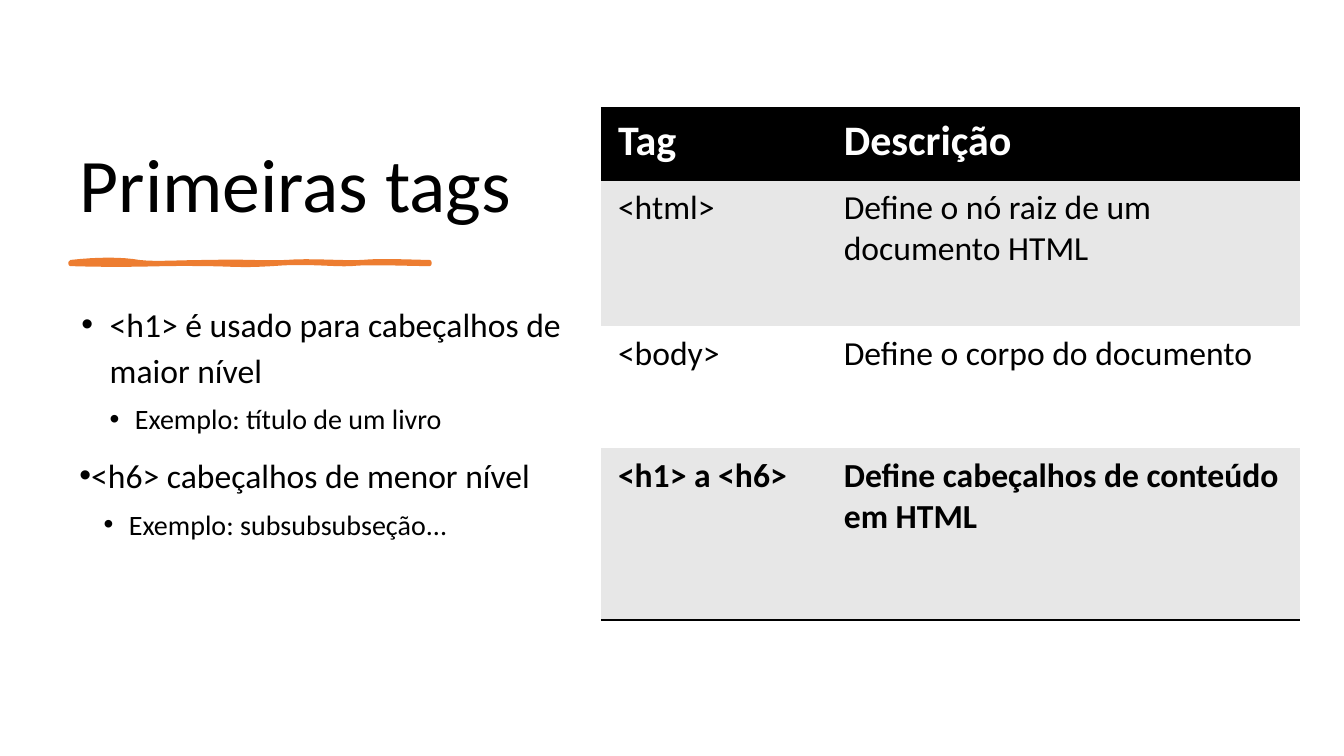
from lxml import etree
from pptx import Presentation
from pptx.dml.color import RGBColor
from pptx.enum.text import MSO_ANCHOR, MSO_AUTO_SIZE, PP_ALIGN
from pptx.oxml.ns import qn
from pptx.util import Emu, Pt

BOTTOM = MSO_ANCHOR.BOTTOM
FIXED = MSO_AUTO_SIZE.NONE
LEFT = PP_ALIGN.LEFT

PX = 9144
TITLE_ONLY = 5
FONT = "Calibri"
COLORS = {"ink": "000000", "paper": "FFFFFF", "band": "E7E7E7", "accent": "ED7D31"}

STROKE = [
    [(70, 260), (97, 257), (121, 257), (138, 260), (155, 262), (177, 260),
     (209, 260), (241, 259), (260, 261), (284, 260), (308, 258), (339, 261),
     (359, 260), (379, 258), (412, 260), (426, 260), (426, 260), (426, 261),
     (426, 262), (408, 262), (364, 260), (348, 262), (332, 263), (304, 259),
     (270, 262), (235, 264), (231, 262), (199, 262), (166, 261), (132, 264),
     (70, 262), (70, 261), (70, 260), (70, 260)],
]
ITEMS = [
    ("<h1> é usado para cabeçalhos de maior nível", 0, 30, -28),
    ("Exemplo: título de um livro", 1, 55, -25),
    ("<h6> cabeçalhos de menor nível", 0, 0, -25),
    ("Exemplo: subsubsubseção...", 1, 49, -25),
]
SIZES = (24, 20)
GAPS = (10, 5)
ROWS = [
    ("Tag", "Descrição"),
    ("<html>", "Define o nó raiz de um documento HTML"),
    ("<body>", "Define o corpo do documento"),
    ("<h1> a <h6>", "Define cabeçalhos de conteúdo em HTML"),
]


def px(n):
    return Emu(round(n * PX))


def rgb(name):
    return RGBColor.from_string(COLORS[name])


def curve(points, steps=8):
    out = [points[0]]
    for i in range(0, len(points) - 1, 3):
        a, b, c, d = points[i:i + 4]
        for k in range(1, steps + 1):
            t = k / steps
            u = 1 - t
            out.append(tuple(
                u**3 * p + 3 * u * u * t * q + 3 * u * t * t * r + t**3 * s
                for p, q, r, s in zip(a, b, c, d)))
    return [(px(x), px(y)) for x, y in out]


class Deck:
    def __init__(self, width, height):
        self.file = Presentation()
        self.file.slide_width = px(width)
        self.file.slide_height = px(height)
        self.slide = self.file.slides.add_slide(self.file.slide_layouts[TITLE_ONLY])

    def run(self, para, text, size, color="ink", bold=False):
        run = para.add_run()
        run.text = text
        run.font.name = FONT
        run.font.size = Pt(size)
        run.font.bold = bold
        run.font.color.rgb = rgb(color)

    def title(self, text, x, y, w, h):
        shape = self.slide.shapes.title
        shape.left, shape.top, shape.width, shape.height = map(px, (x, y, w, h))
        frame = shape.text_frame
        frame.auto_size = FIXED
        frame.vertical_anchor = BOTTOM
        para = frame.paragraphs[0]
        para.alignment = LEFT
        para.line_spacing = 0.9
        self.run(para, text, 54)

    def stroke(self, points, color, weight):
        start, *rest = curve(points)
        pen = self.slide.shapes.build_freeform(*start, scale=1.0)
        pen.add_line_segments(rest, close=True)
        shape = pen.convert_to_shape()
        shape.shadow.inherit = False
        shape.fill.solid()
        shape.fill.fore_color.rgb = rgb(color)
        shape.line.color.rgb = rgb(color)
        shape.line.width = Pt(weight)

    def bullets(self, items, x, y, w, h):
        frame = self.slide.shapes.add_textbox(*map(px, (x, y, w, h))).text_frame
        frame.word_wrap = True
        for i, (text, level, margin, indent) in enumerate(items):
            para = frame.add_paragraph() if i else frame.paragraphs[0]
            para.level = level
            para.line_spacing = 1.14
            para.space_before = Pt(GAPS[level] if i else 0)
            props = para._p.get_or_add_pPr()
            props.set("marL", str(px(margin)))
            props.set("indent", str(px(indent)))
            etree.SubElement(props, qn("a:buFont"), typeface="Arial")
            etree.SubElement(props, qn("a:buChar"), char="•")
            self.run(para, text, SIZES[level])

    def border(self, cell, sides):
        props = cell._tc.get_or_add_tcPr()
        for i, side in enumerate("LRTB"):
            line = etree.Element(qn("a:ln" + side))
            if side in sides:
                line.set("w", str(Pt(2)))
                fill = etree.SubElement(line, qn("a:solidFill"))
                etree.SubElement(fill, qn("a:srgbClr"), val=COLORS["ink"])
            else:
                line.set("w", "0")
                etree.SubElement(line, qn("a:noFill"))
            props.insert(i, line)

    def table(self, rows, x, y, widths, heights):
        box = map(px, (x, y, sum(widths), sum(heights)))
        table = self.slide.shapes.add_table(len(rows), len(widths), *box).table
        table.horz_banding = False
        for col, width in zip(table.columns, widths):
            col.width = px(width)
        last = len(rows) - 1
        for r, texts in enumerate(rows):
            table.rows[r].height = px(heights[r])
            head = r == 0
            back = "ink" if head else "band" if r % 2 else "paper"
            sides = ("T" if r < 2 else "") + ("B" if r in (0, last) else "")
            for c, text in enumerate(texts):
                cell = table.cell(r, c)
                cell.margin_left = cell.margin_right = px(17)
                cell.margin_top = cell.margin_bottom = px(8)
                cell.fill.solid()
                cell.fill.fore_color.rgb = rgb(back)
                self.border(cell, sides)
                self.run(cell.text_frame.paragraphs[0], text, 30 if head else 24,
                         "paper" if head else "ink", r in (0, last))


def main():
    deck = Deck(1333, 750)
    deck.title("Primeiras tags", 69, 70, 527, 162)
    for points in STROKE:
        deck.stroke(points, "accent", 3)
    deck.bullets(ITEMS, 69, 291, 527, 388)
    deck.table(ROWS, 596, 107, (224, 469), (71, 145, 121, 171))
    deck.file.save("out.pptx")


if __name__ == "__main__":
    main()
